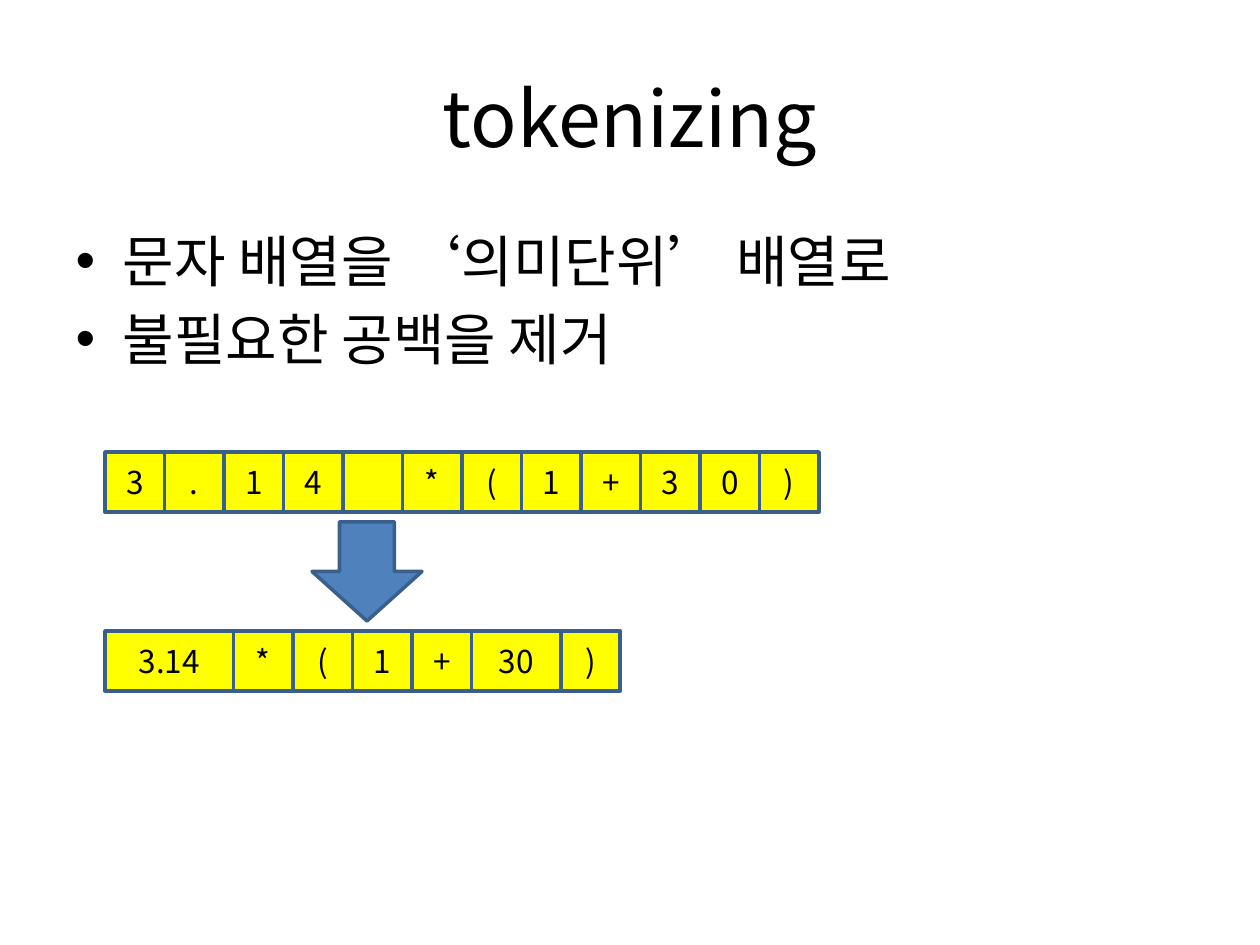
from dataclasses import dataclass

from lxml.etree import SubElement
from pptx import Presentation
from pptx.dml.color import RGBColor
from pptx.enum.shapes import MSO_SHAPE as Preset
from pptx.enum.text import MSO_ANCHOR as Anchor, PP_ALIGN as Align
from pptx.oxml.ns import qn
from pptx.util import Emu, Pt

TITLE = "tokenizing"
POINTS = ["문자 배열을 ‘의미단위’ 배열로", "불필요한 공백을 제거"]
CHARACTERS = [(character, 1) for character in "3.14 *(1+30)"]
TOKENS = [("3.14", 2.16), ("*", 1), ("(", 1), ("1", 1), ("+", 1), ("30", 1.5), (")", 1)]

SLIDE_SIZE = (1260, 945)
TITLE_BOX = (63, 38, 1134, 157)
BODY_BOX = (63, 220, 1134, 624)
ARROW_BOX = (312, 522, 110, 99)
ROW_LEFT, ROW_WIDTH, ROW_HEIGHT = 105, 714, 60
CHARACTER_TOP, TOKEN_TOP = 452, 631
UNIT = ROW_WIDTH / len(CHARACTERS)


@dataclass(frozen=True)
class Theme:
    font: str = "Noto Sans CJK KR"
    text: str = "000000"
    cell: str = "FFFF00"
    arrow: str = "4F81BD"
    outline: str = "3A5F8C"
    title_size: int = 44
    body_size: int = 32
    cell_size: int = 18
    line_width: int = 2


THEME = Theme()


def px(length):
    return Emu(round(length * 914400 / 126))


def place(shape, box):
    shape.left, shape.top, shape.width, shape.height = map(px, box)


def write(paragraph, text, *, size, align=None, color=THEME.text):
    paragraph.alignment = align
    run = paragraph.add_run()
    run.text = text
    run.font.size = Pt(size)
    run.font.name = THEME.font
    run.font.color.rgb = RGBColor.from_string(color)
    SubElement(run.font._element, qn("a:ea"), typeface=THEME.font)


def add_preset(slide, preset, box, fill):
    shape = slide.shapes.add_shape(preset, *map(px, box))
    shape.shadow.inherit = False
    shape.fill.solid()
    shape.fill.fore_color.rgb = RGBColor.from_string(fill)
    shape.line.color.rgb = RGBColor.from_string(THEME.outline)
    shape.line.width = Pt(THEME.line_width)
    return shape


def add_row(slide, cells, top):
    left = ROW_LEFT
    for text, units in cells:
        width = units * UNIT
        cell = add_preset(slide, Preset.RECTANGLE, (left, top, width, ROW_HEIGHT), THEME.cell)
        if text.strip():
            cell.text_frame.vertical_anchor = Anchor.MIDDLE
            write(cell.text_frame.paragraphs[0], text, size=THEME.cell_size, align=Align.CENTER)
        left += width


def main():
    presentation = Presentation()
    presentation.slide_width, presentation.slide_height = map(px, SLIDE_SIZE)
    slide = presentation.slides.add_slide(presentation.slide_layouts[1])
    title, body = slide.placeholders

    place(title, TITLE_BOX)
    title.text_frame.vertical_anchor = Anchor.MIDDLE
    write(title.text_frame.paragraphs[0], TITLE, size=THEME.title_size, align=Align.CENTER)

    place(body, BODY_BOX)
    for index, point in enumerate(POINTS):
        frame = body.text_frame
        paragraph = frame.add_paragraph() if index else frame.paragraphs[0]
        write(paragraph, point, size=THEME.body_size)

    add_row(slide, CHARACTERS, CHARACTER_TOP)
    add_row(slide, TOKENS, TOKEN_TOP)
    add_preset(slide, Preset.DOWN_ARROW, ARROW_BOX, THEME.arrow)
    presentation.save("out.pptx")


if __name__ == "__main__":
    main()
